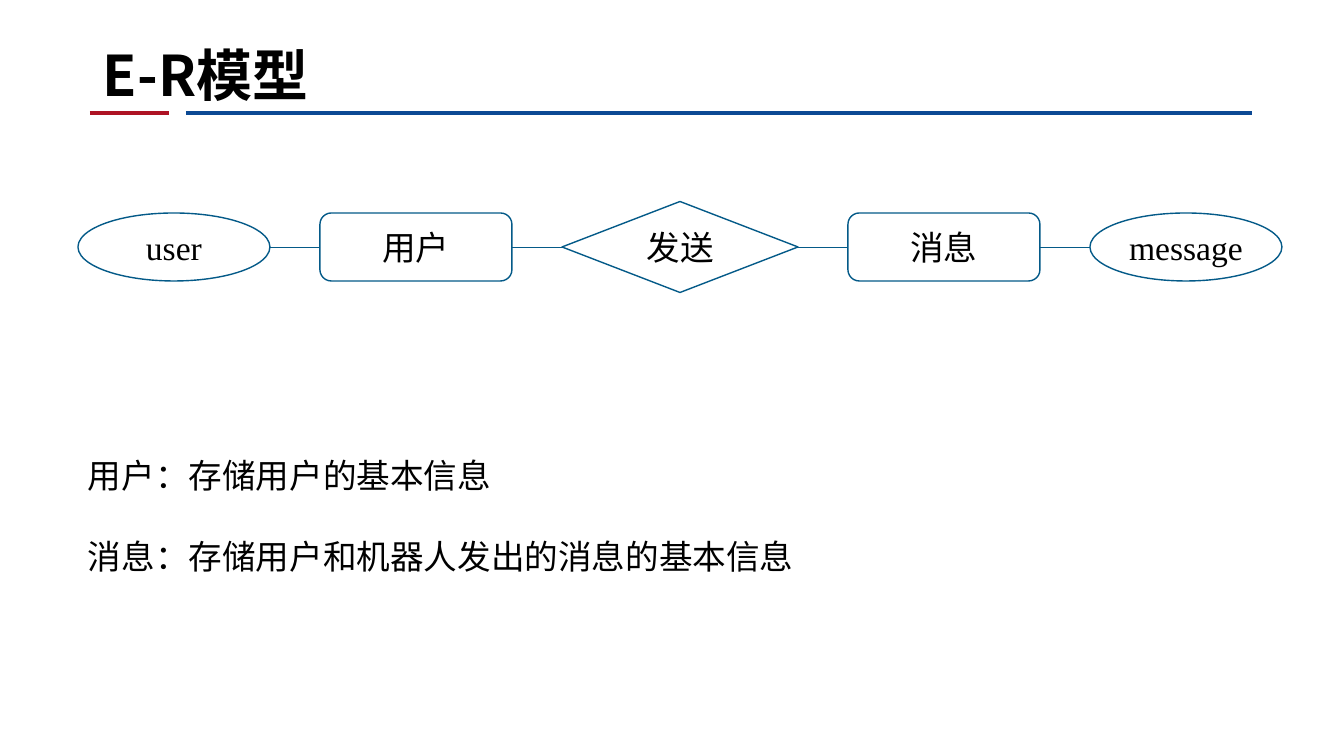
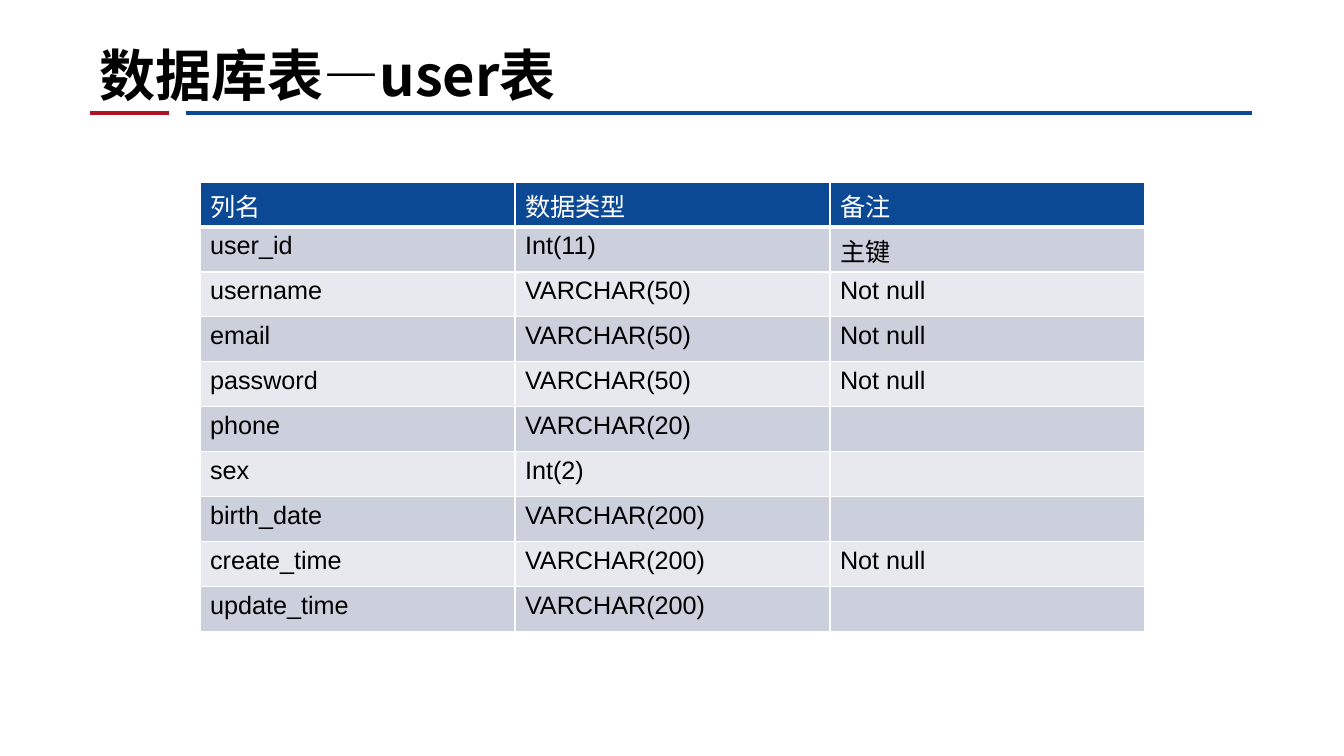
from itertools import pairwise

from lxml import etree
from pptx import Presentation
from pptx.dml.color import RGBColor
from pptx.enum.shapes import MSO_CONNECTOR, MSO_SHAPE
from pptx.enum.text import MSO_ANCHOR, MSO_AUTO_SIZE, PP_ALIGN
from pptx.oxml.ns import qn
from pptx.util import Emu, Pt

STRAIGHT = MSO_CONNECTOR.STRAIGHT
ELLIPSE = MSO_SHAPE.OVAL
ENTITY = MSO_SHAPE.ROUNDED_RECTANGLE
RELATION = MSO_SHAPE.FLOWCHART_DECISION
LEFT, CENTER = PP_ALIGN.LEFT, PP_ALIGN.CENTER
BOTTOM, MIDDLE = MSO_ANCHOR.BOTTOM, MSO_ANCHOR.MIDDLE
GROW = MSO_AUTO_SIZE.SHAPE_TO_FIT_TEXT

BLACK, WHITE = "000000", "FFFFFF"
RED, BLUE, TEAL = "AE1324", "0C4994", "045A88"
BANDS = ("CCD0DC", "E7E9EE")
SANS, SERIF, TABLE_FONT = "Noto Sans CJK SC", "Times New Roman", "Arial"
BLANK_LAYOUT = 6

NODES = [
    (ELLIPSE, "user", 192, 68),
    (ENTITY, "用户", 192, 68),
    (RELATION, "发送", 236, 91),
    (ENTITY, "消息", 192, 68),
    (ELLIPSE, "message", 192, 68),
]
NOTES = ["用户：存储用户的基本信息", "消息：存储用户和机器人发出的消息的基本信息"]
USER_COLUMNS = [
    ("列名", "数据类型", "备注"),
    ("user_id", "Int(11)", "主键"),
    ("username", "VARCHAR(50)", "Not null"),
    ("email", "VARCHAR(50)", "Not null"),
    ("password", "VARCHAR(50)", "Not null"),
    ("phone", "VARCHAR(20)", ""),
    ("sex", "Int(2)", ""),
    ("birth_date", "VARCHAR(200)", ""),
    ("create_time", "VARCHAR(200)", "Not null"),
    ("update_time", "VARCHAR(200)", ""),
]


def px(length):
    """Turn pixels into EMU."""
    return Emu(round(length * 914400 / 100.8))


def color(code):
    """Turn a hex string into a colour."""
    return RGBColor.from_string(code)


def style_text(para, size, face, ink=BLACK, bold=False, align=LEFT):
    """Set the font and alignment of one paragraph."""
    para.alignment = align
    font = para.font
    font.size, font.name, font.bold = Pt(size), face, bold
    font.color.rgb = color(ink)
    properties = para._p.pPr.find(qn("a:defRPr"))
    etree.SubElement(properties, qn("a:ea")).set("typeface", SANS)


def add_line(page, start, end, y, ink, width):
    """Draw a level line without a shadow."""
    line = page.shapes.add_connector(STRAIGHT, px(start), px(y), px(end), px(y))
    line.line.color.rgb = color(ink)
    line.line.width = Pt(width)
    etree.SubElement(line._element.spPr, qn("a:effectLst"))


def add_header(page, title, left, width):
    """Draw the two-colour rule and the title standing on it."""
    rule_y = 113
    add_line(page, 90, 169, rule_y, RED, 3.5)
    add_line(page, 186, 1252, rule_y, BLUE, 3.5)
    box = page.shapes.add_textbox(px(left), 0, px(width), px(rule_y))
    frame = box.text_frame
    frame.word_wrap = True
    frame.vertical_anchor = BOTTOM
    frame.text = title
    style_text(frame.paragraphs[0], 40, SANS, bold=True)


def add_node(page, kind, label, left, middle, width, height):
    """Draw one outlined node centred on the middle line."""
    node = page.shapes.add_shape(
        kind, px(left), px(middle - height / 2), px(width), px(height))
    node.shadow.inherit = False
    node.fill.solid()
    node.fill.fore_color.rgb = color(WHITE)
    node.line.color.rgb = color(TEAL)
    node.line.width = Pt(1)
    frame = node.text_frame
    frame.vertical_anchor = MIDDLE
    frame.text = label
    style_text(frame.paragraphs[0], 24, SERIF, align=CENTER)


def add_er_chain(page, left, middle, gap):
    """Place the nodes in a row and join neighbours across the gaps."""
    edges = []
    for kind, label, width, height in NODES:
        add_node(page, kind, label, left, middle, width, height)
        edges.append((left, left + width))
        left += width + gap
    for (_, start), (end, _) in pairwise(edges):
        add_line(page, start, end, middle, TEAL, 0.5)


def add_notes_text(page, left, top, width, height):
    """Write the entity descriptions, double spaced."""
    box = page.shapes.add_textbox(px(left), px(top), px(width), px(height))
    frame = box.text_frame
    frame.word_wrap = False
    frame.auto_size = GROW
    frame.text = "\n".join(NOTES)
    for para in frame.paragraphs:
        para.line_spacing = 2.0
        style_text(para, 24, SANS)


def add_borders(cell, bottom):
    """Give a cell white borders, with its own bottom width."""
    properties = cell._tc.get_or_add_tcPr()
    for side, width in (("L", 1), ("R", 1), ("T", 1), ("B", bottom)):
        border = etree.SubElement(properties, qn(f"a:ln{side}"), w=str(Pt(width)))
        fill = etree.SubElement(border, qn("a:solidFill"))
        etree.SubElement(fill, qn("a:srgbClr"), val=WHITE)


def add_column_table(page, rows, left, top, column_width, row_height):
    """Draw a banded table whose first row is the header."""
    count = len(rows[0])
    table = page.shapes.add_table(
        len(rows), count, px(left), px(top),
        px(column_width * count), px(row_height * len(rows))).table
    table.first_row = table.horz_banding = False
    for row, texts in enumerate(rows):
        header = row == 0
        for column, text in enumerate(texts):
            cell = table.cell(row, column)
            add_borders(cell, 3 if header else 1)
            cell.fill.solid()
            cell.fill.fore_color.rgb = color(BLUE if header else BANDS[(row - 1) % 2])
            cell.text = text
            style_text(cell.text_frame.paragraphs[0], 18, TABLE_FONT,
                       WHITE if header else BLACK)


def build_model_slide(page):
    """Build the E-R model slide."""
    add_header(page, "E-R模型", 93, 1159)
    add_er_chain(page, 78, 247, 50)
    add_notes_text(page, 78, 410, 733, 158)


def build_table_slide(page):
    """Build the slide of the user table."""
    add_header(page, "数据库表—user表", 90, 1162)
    add_column_table(page, USER_COLUMNS, 200, 182, 315, 45)


deck = Presentation()
deck.slide_width, deck.slide_height = px(1344), px(756)
for build in (build_model_slide, build_table_slide):
    build(deck.slides.add_slide(deck.slide_layouts[BLANK_LAYOUT]))
deck.save("out.pptx")
